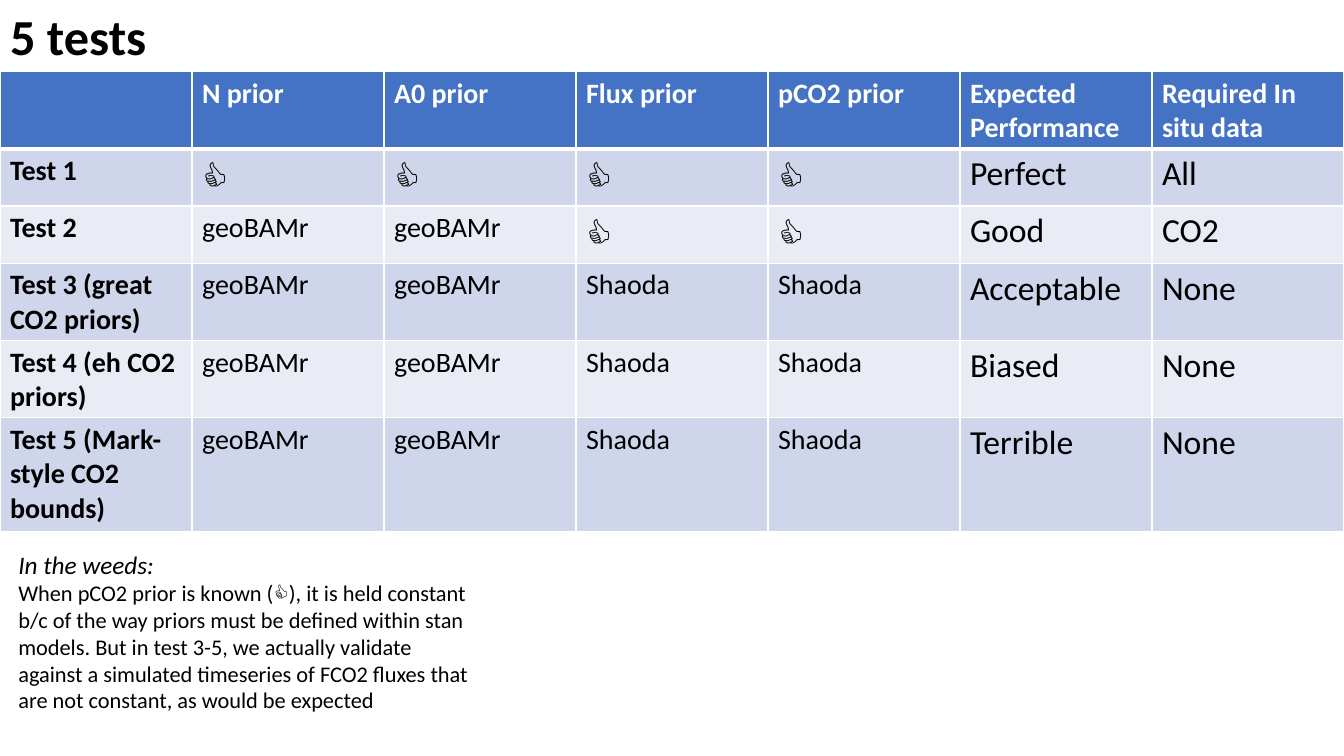
from dataclasses import dataclass

from lxml.etree import SubElement
from pptx import Presentation
from pptx.dml.color import RGBColor
from pptx.enum.text import MSO_ANCHOR, MSO_AUTO_SIZE, PP_ALIGN
from pptx.oxml.ns import qn
from pptx.util import Emu, Pt


@dataclass(frozen=True)
class Theme:
    font: str = "Calibri"
    ink: str = "000000"
    white: str = "FFFFFF"
    header: str = "4472C4"
    bands: tuple = ("CFD5EA", "E9EBF5")
    title: int = 36
    thumb: int = 28
    outcome: int = 24
    cell: int = 20
    note_heading: int = 18
    note: int = 16


THEME = Theme()
THUMB = "👍"
KNOWN, BAM, SHAODA = [THUMB] * 2, ["geoBAMr"] * 2, ["Shaoda"] * 2
HEADER = ["", "N prior", "A0 prior", "Flux prior", "pCO2 prior",
          "Expected Performance", "Required In situ data"]
TESTS = [
    ["Test 1", *KNOWN, *KNOWN, "Perfect", "All"],
    ["Test 2", *BAM, *KNOWN, "Good", "CO2"],
    ["Test 3 (great CO2 priors)", *BAM, *SHAODA, "Acceptable", "None"],
    ["Test 4 (eh CO2 priors)", *BAM, *SHAODA, "Biased", "None"],
    ["Test 5 (Mark-style CO2 bounds)", *BAM, *SHAODA, "Terrible", "None"],
]
ROW_HEIGHTS = [73, 54, 54, 73, 73, 108]
FIRST_OUTCOME_COLUMN = 5


def px(length):
    return Emu(length * 9525)


def add_run(paragraph, text, size, color=THEME.ink, **formats):
    run = paragraph.add_run()
    run.text = text
    for name, value in {"name": THEME.font, "size": Pt(size), **formats}.items():
        setattr(run.font, name, value)
    run.font.color.rgb = RGBColor.from_string(color)


def fit_frame(frame):
    formats = {"word_wrap": True, "auto_size": MSO_AUTO_SIZE.SHAPE_TO_FIT_TEXT,
               "vertical_anchor": MSO_ANCHOR.TOP}
    for name, value in formats.items():
        setattr(frame, name, value)


def place_title(slide, left, top, width, height):
    title = slide.shapes.title
    box = {"left": left, "top": top, "width": width, "height": height}
    for name, value in box.items():
        setattr(title, name, px(value))
    fit_frame(title.text_frame)
    paragraph = title.text_frame.paragraphs[0]
    paragraph.alignment = PP_ALIGN.LEFT
    add_run(paragraph, "5 tests", THEME.title, bold=True)


def format_cell(cell, fill, bottom_points):
    # Borders come before the fill in the cell properties
    properties = cell._tc.get_or_add_tcPr()
    for side, points in {"L": 1, "R": 1, "T": 1, "B": bottom_points}.items():
        line = SubElement(properties, qn(f"a:ln{side}"), w=str(Pt(points)))
        line_fill = SubElement(line, qn("a:solidFill"))
        SubElement(line_fill, qn("a:srgbClr"), val=THEME.white)
    cell.fill.solid()
    cell.fill.fore_color.rgb = RGBColor.from_string(fill)


def text_style(text, row, column):
    if row == 0:
        return {"size": THEME.cell, "color": THEME.white, "bold": True}
    if text == THUMB:
        return {"size": THEME.thumb, "bold": True}
    if column >= FIRST_OUTCOME_COLUMN:
        return {"size": THEME.outcome, "bold": False}
    return {"size": THEME.cell, "bold": column == 0}


def add_test_table(slide, left, top, width, height):
    rows = [HEADER, *TESTS]
    table = slide.shapes.add_table(
        len(rows), len(HEADER), px(left), px(top), px(width), px(height)).table
    for column in table.columns:
        column.width = px(width) // len(HEADER)
    for row, texts in enumerate(rows):
        table.rows[row].height = px(ROW_HEIGHTS[row])
        fill = THEME.bands[(row - 1) % 2] if row else THEME.header
        for column, text in enumerate(texts):
            cell = table.cell(row, column)
            format_cell(cell, fill, 1 if row else 3)
            if text:
                add_run(cell.text_frame.paragraphs[0], text,
                        **text_style(text, row, column))


def add_note(slide, left, top, width, height):
    frame = slide.shapes.add_textbox(
        px(left), px(top), px(width), px(height)).text_frame
    fit_frame(frame)
    add_run(frame.paragraphs[0], "In the weeds:", THEME.note_heading, italic=True)
    body = frame.add_paragraph()
    add_run(body, "When pCO2 prior is known (", THEME.note)
    add_run(body, THUMB, THEME.note, bold=True)
    add_run(body, "), it is held constant b/c of the way priors must be defined "
            "within stan models. But in test 3-5, we actually validate against "
            "a simulated timeseries of FCO2 fluxes that are not constant, "
            "as would be expected", THEME.note)


def main():
    presentation = Presentation()
    presentation.slide_width, presentation.slide_height = px(1280), px(720)
    title_only = presentation.slide_layouts.get_by_name("Title Only")
    slide = presentation.slides.add_slide(title_only)
    place_title(slide, 0, 0, 1280, 68)
    add_test_table(slide, 0, 68, 1280, sum(ROW_HEIGHTS))
    add_note(slide, 8, 518, 456, 168)
    presentation.save("out.pptx")


if __name__ == "__main__":
    main()
